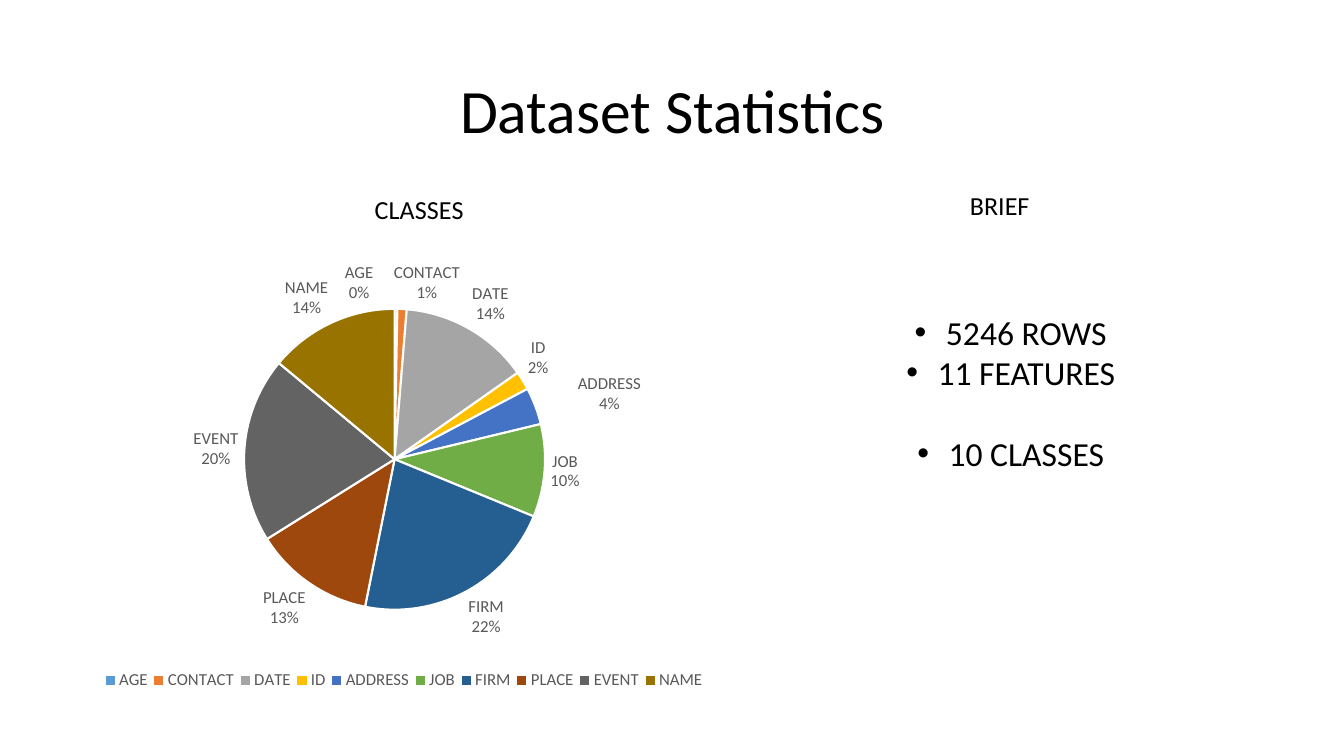
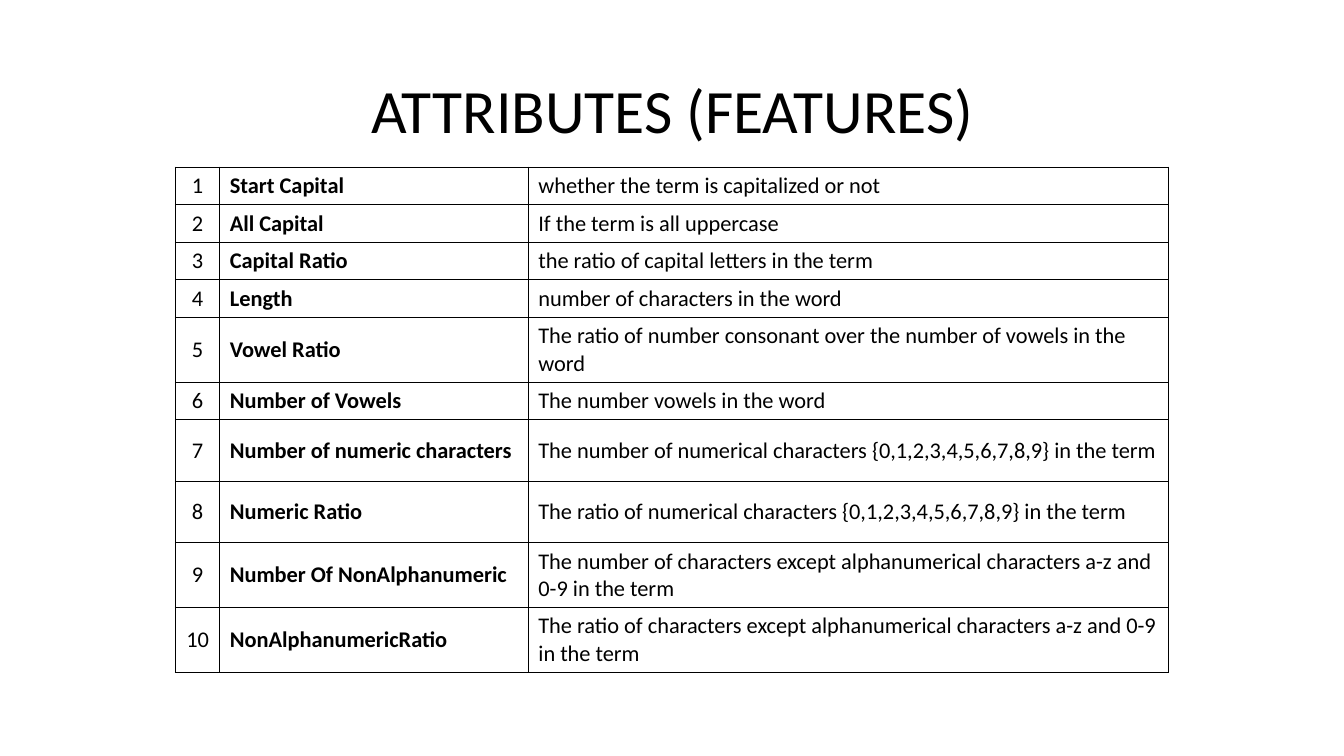
import pptx
import pptx.util
import pptx.dml.color
import pptx.enum.text
import pptx.enum.chart
import pptx.chart.data
import pptx.oxml
import pptx.oxml.ns
from dataclasses import dataclass

Inches, Pt = pptx.util.Inches, pptx.util.Pt
RGB = pptx.dml.color.RGBColor.from_string
ALIGN = pptx.enum.text.PP_ALIGN
ANCHOR = pptx.enum.text.MSO_ANCHOR

CLASSES = [
    # name, percent, slice colour; a slice of exactly 0 would lose its label
    ("AGE", 0.3, "5B9BD5"),
    ("CONTACT", 1, "ED7D31"),
    ("DATE", 14, "A5A5A5"),
    ("ID", 2, "FFC000"),
    ("ADDRESS", 4, "4472C4"),
    ("JOB", 10, "70AD47"),
    ("FIRM", 22, "255E91"),
    ("PLACE", 13, "9E480E"),
    ("EVENT", 20, "636363"),
    ("NAME", 14, "997300"),
]
# Label shifts, as shares of the chart size
SHIFTS = {"AGE": (-0.06, 0), "CONTACT": (0.04, 0), "ADDRESS": (0.06, 0.02)}

# Text and space before it, in points
BRIEF = [("5246 ROWS", 0), ("11 FEATURES", 0), ("10 CLASSES", 29)]

FEATURES = [
    ("Start Capital", "whether the term is capitalized or not"),
    ("All Capital", "If the term is all uppercase"),
    ("Capital Ratio", "the ratio of capital letters in the term"),
    ("Length", "number of characters in the word"),
    ("Vowel Ratio", "The ratio of number consonant over the number of vowels in the word"),
    ("Number of Vowels", "The number vowels in the word"),
    ("Number of numeric characters",
     "The number of numerical characters {0,1,2,3,4,5,6,7,8,9} in the term"),
    ("Numeric Ratio", "The ratio of numerical characters {0,1,2,3,4,5,6,7,8,9} in the term"),
    ("Number Of\u00a0NonAlphanumeric",
     "The number of characters except alphanumerical characters a-z and 0-9 in the term"),
    ("NonAlphanumericRatio",
     "The ratio of characters except alphanumerical characters a-z and 0-9 in the term"),
]
COLS = (0.44, 3.06, 6.35)
LOW, TALL, LONG = 0.35, 0.61, 60  # row heights; texts over LONG get a tall row


@dataclass
class Theme:
    """Colours, font and type sizes of the deck."""
    font: str = "Calibri"
    ink: str = "000000"
    soft: str = "595959"
    paper: str = "FFFFFF"
    title: float = 44
    head: float = 18.6
    list: float = 24
    cell: float = 16
    label: float = 12


LOOK = Theme()


def style(font, size, color=LOOK.ink, bold=False):
    """Set the face, size and colour of a font."""
    font.name, font.size, font.bold = LOOK.font, Pt(size), bold
    font.color.rgb = RGB(color)


def write(para, text, size, align=ALIGN.CENTER, bold=False):
    """Fill one paragraph and format its runs."""
    para.text, para.alignment = text, align
    for run in para.runs:
        style(run.font, size, bold=bold)


def make(tag, **attrs):
    """Make one XML element."""
    node = pptx.oxml.parse_xml(f"<{tag} {pptx.oxml.ns.nsdecls(tag.split(':')[0])}/>")
    for key, value in attrs.items():
        node.set(key, str(value))
    return node


def place(node, spot, **parts):
    """Give a chart part a manual layout, as its child number spot."""
    for old in node.xpath("./c:layout"):
        node.remove(old)
    layout, manual = make("c:layout"), make("c:manualLayout")
    layout.append(manual)
    for key, value in parts.items():
        manual.append(make(f"c:{key}", val=value))
    node.insert(spot, layout)


def add_slide(deck, title):
    """Add a slide with its title in the shared style."""
    slide = deck.slides.add_slide(deck.slide_layouts[5])
    box = slide.shapes.title
    box.left, box.top = Inches(0.92), Inches(0.4)
    box.width, box.height = Inches(11.5), Inches(1.45)
    box.text_frame.vertical_anchor = ANCHOR.MIDDLE
    para = box.text_frame.paragraphs[0]
    write(para, title, LOOK.title)
    para.line_spacing = 0.9
    return slide


def add_box(slide, left, top, width, height):
    """Add a wrapping text box and return its frame."""
    frame = slide.shapes.add_textbox(
        Inches(left), Inches(top), Inches(width), Inches(height)).text_frame
    frame.word_wrap = True
    return frame


def add_pie(slide):
    """Draw the share of each class."""
    data = pptx.chart.data.CategoryChartData()
    data.categories = [name for name, _, _ in CLASSES]
    data.add_series("Series 1", [value for _, value, _ in CLASSES])
    chart = slide.shapes.add_chart(
        pptx.enum.chart.XL_CHART_TYPE.PIE, Inches(0.92), Inches(1.85),
        Inches(6.11), Inches(5.06), data).chart
    style(chart.font, 10)
    write(chart.chart_title.text_frame.paragraphs[0], "CLASSES", LOOK.head)
    chart.has_legend = True
    chart.legend.position = pptx.enum.chart.XL_LEGEND_POSITION.BOTTOM
    chart.legend.include_in_layout = False
    style(chart.legend.font, LOOK.label, LOOK.soft)

    chart.plots[0].vary_by_categories = True
    series = chart.plots[0].series[0]
    out = pptx.enum.chart.XL_LABEL_POSITION.OUTSIDE_END
    for i, (name, _, color) in enumerate(CLASSES):
        point = series.points[i]
        point.format.fill.solid()
        point.format.fill.fore_color.rgb = RGB(color)
        point.format.line.color.rgb = RGB(LOOK.paper)
        point.format.line.width = Pt(1.5)
        if name in SHIFTS:
            style(point.data_label.font, LOOK.label, LOOK.soft)
            point.data_label.position = out
    labels = series.data_labels
    style(labels.font, LOOK.label, LOOK.soft)
    labels.position = out
    labels.show_value = False
    labels.show_category_name = labels.show_percentage = True

    root = chart.element
    for label in root.xpath(".//c:dLbl"):
        name = CLASSES[int(label.xpath("./c:idx/@val")[0])][0]
        place(label, 1, x=SHIFTS[name][0], y=SHIFTS[name][1])
        for tag, on in (("showVal", 0), ("showCatName", 1), ("showPercent", 1)):
            label.xpath(f"./c:{tag}")[0].set("val", str(on))
    for flag in root.xpath(".//c:ser//c:showBubbleSize"):
        gap = make("c:separator")
        gap.text = "\n"
        flag.addnext(gap)
    for flag in root.xpath(".//c:showLeaderLines"):
        flag.set("val", "0")
    edge = dict(xMode="edge", yMode="edge")
    place(root.xpath(".//c:chart/c:title")[0], 1, **edge, x=0.45, y=0)
    place(root.xpath(".//c:plotArea")[0], 0, layoutTarget="inner", **edge,
          x=0.24, y=0.24, w=0.5, h=0.59)
    place(root.xpath(".//c:legend")[0], 1, **edge, x=0.01, y=0.95, w=0.99, h=0.05)


def add_brief(slide):
    """Write the heading and the bulleted facts."""
    head = add_box(slide, 8.92, 1.83, 1.99, 0.41)
    write(head.paragraphs[0], "BRIEF", LOOK.head)
    facts = add_box(slide, 7.76, 2.24, 4.53, 2.93)
    facts.margin_top = Inches(0.85)
    for i, (text, space) in enumerate(BRIEF):
        para = facts.add_paragraph() if i else facts.paragraphs[0]
        write(para, text, LOOK.list)
        para.space_before = Pt(space)
        props = para._p.get_or_add_pPr()
        props.set("marL", str(Inches(0.31)))
        props.set("indent", str(-Inches(0.31)))
        props.append(make("a:buFont", typeface="Arial"))
        props.append(make("a:buChar", char="•"))


def frame_cell(cell):
    """Give a cell thin borders and no fill."""
    props = cell._tc.get_or_add_tcPr()
    for side in "LRTB":
        line = make(f"a:ln{side}", w=Pt(1))
        fill = make("a:solidFill")
        fill.append(make("a:srgbClr", val=LOOK.ink))
        line.append(fill)
        props.append(line)
    cell.fill.background()


def add_features(slide):
    """Lay out the numbered feature table."""
    rows = [TALL if len(text) > LONG else LOW for _, text in FEATURES]
    table = slide.shapes.add_table(
        len(rows), len(COLS), Inches(1.74), Inches(1.66),
        Inches(sum(COLS)), Inches(sum(rows))).table
    table.first_row = table.horz_banding = False
    for col, width in zip(table.columns, COLS):
        col.width = Inches(width)
    for i, (name, text) in enumerate(FEATURES):
        table.rows[i].height = Inches(rows[i])
        for j, value in enumerate((str(i + 1), name, text)):
            cell = table.cell(i, j)
            cell.vertical_anchor = ANCHOR.MIDDLE
            write(cell.text_frame.paragraphs[0], value, LOOK.cell,
                  ALIGN.LEFT if j else ALIGN.CENTER, bold=j == 1)
            frame_cell(cell)


deck = pptx.Presentation()
deck.slide_width, deck.slide_height = Inches(13.33), Inches(7.5)
stats = add_slide(deck, "Dataset Statistics")
add_pie(stats)
add_brief(stats)
add_features(add_slide(deck, "ATTRIBUTES (FEATURES)"))
deck.save("out.pptx")
